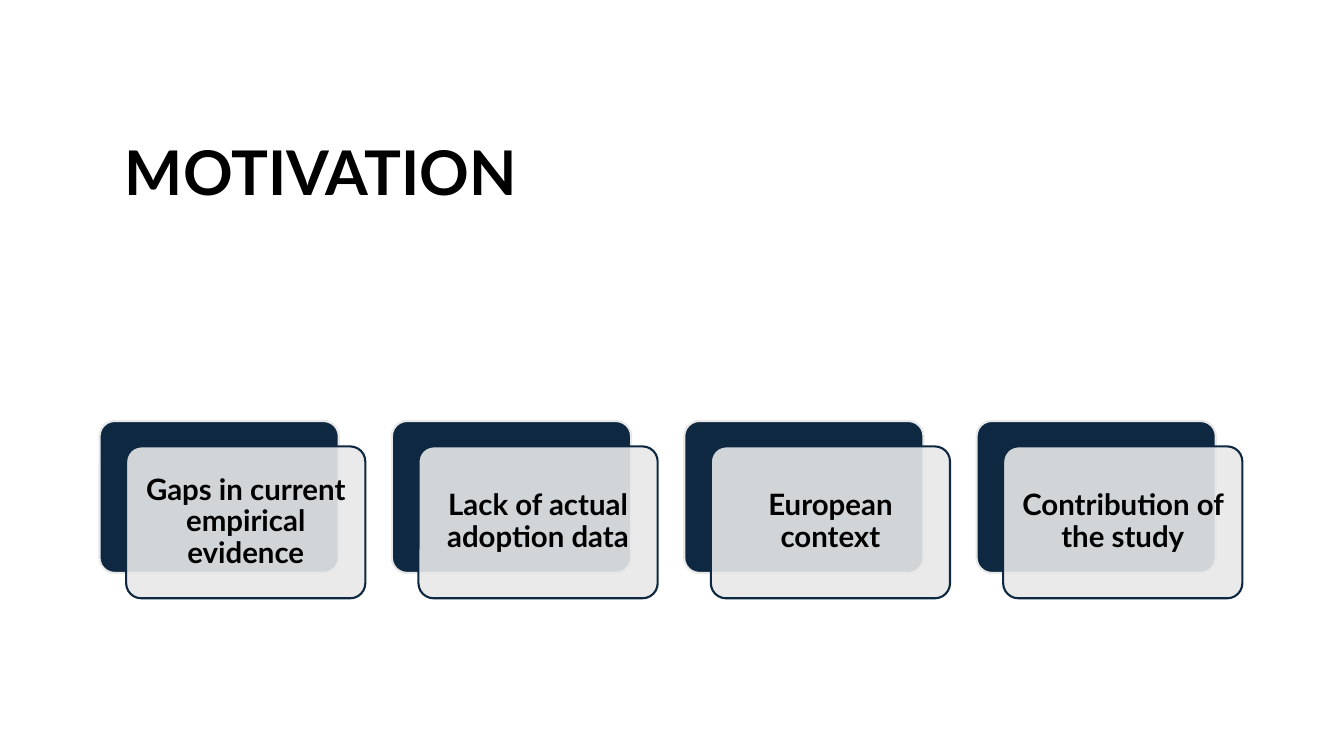
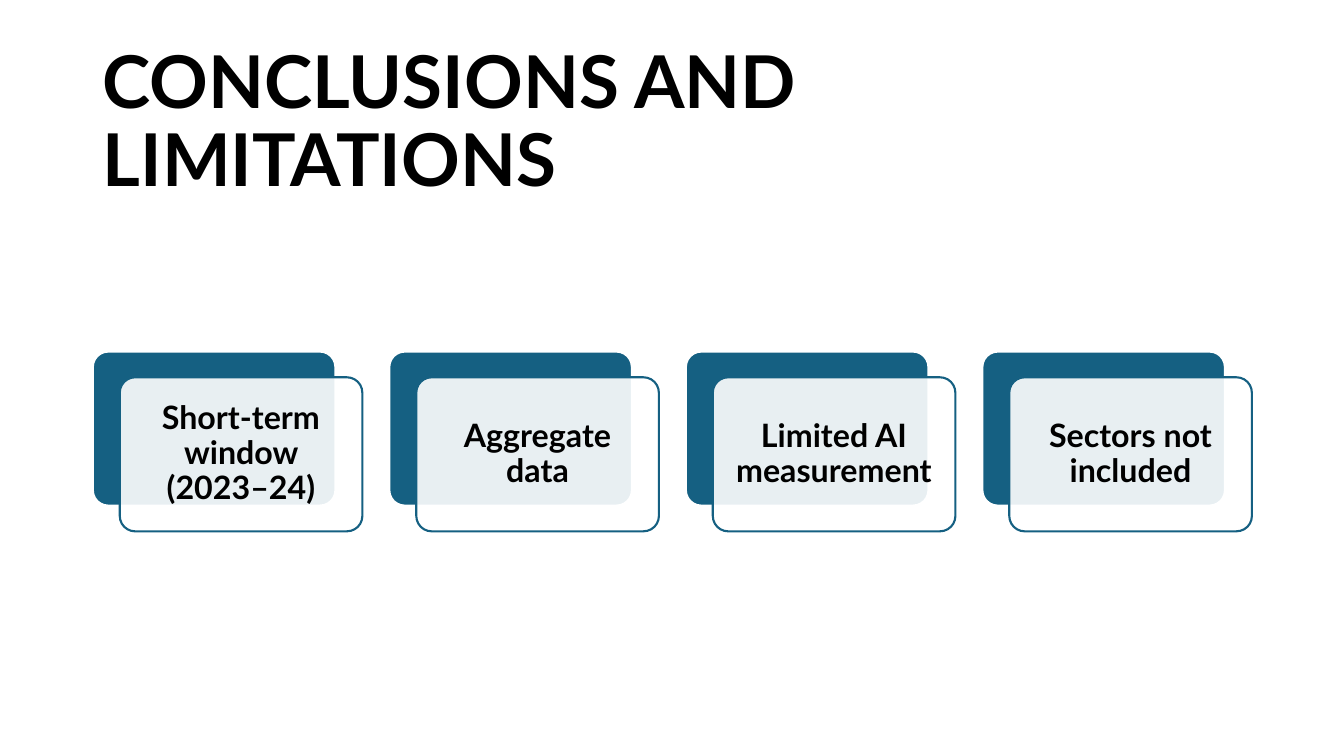
from lxml import etree
from pptx import Presentation
from pptx.dml.color import RGBColor
from pptx.enum.shapes import MSO_SHAPE
from pptx.enum.text import MSO_ANCHOR, PP_ALIGN
from pptx.oxml.ns import qn
from pptx.util import Cm, Pt

ROUNDED = MSO_SHAPE.ROUNDED_RECTANGLE
MIDDLE = MSO_ANCHOR.MIDDLE
LEFT, CENTER = PP_ALIGN.LEFT, PP_ALIGN.CENTER

BLACK = RGBColor(0x00, 0x00, 0x00)
WHITE = RGBColor(0xFF, 0xFF, 0xFF)
NAVY = RGBColor(0x0E, 0x28, 0x41)
GREY = RGBColor(0xE8, 0xE8, 0xE8)
TEAL = RGBColor(0x15, 0x60, 0x82)

GAP_RATIO = 1 / 9
DROP_RATIO = 0.106
HEIGHT_RATIO = 0.635
FRONT_OPACITY = 90

PAGES = [
    {
        "title": "MOTIVATION",
        "title_size": 44,
        "title_box": (Cm(2.9), Cm(2.26), Cm(28.27), Cm(4.32)),
        "labels": [
            "Gaps in current empirical evidence",
            "Lack of actual adoption data",
            "European context",
            "Contribution of the study",
        ],
        "label_size": 21,
        "inset": Cm(0.22),
        "row_box": (Cm(2.51), Cm(10.61), Cm(28.8)),
        "dark": NAVY,
        "light": GREY,
    },
    {
        "title": "CONCLUSIONS AND LIMITATIONS",
        "title_size": 52,
        "title_box": (Cm(2.34), Cm(1.55), Cm(29.21), Cm(3.15)),
        "labels": [
            "Short-term window (2023–24)",
            "Aggregate data",
            "Limited AI measurement",
            "Sectors not included",
        ],
        "label_size": 23,
        "inset": Cm(0.24),
        "row_box": (Cm(2.34), Cm(8.86), Cm(29.21)),
        "dark": TEAL,
        "light": WHITE,
    },
]


def apply(target, values):
    """Set each attribute of the target from a dict of format values."""
    for name, value in values.items():
        setattr(target, name, value)


def write(shape, text, size, align):
    """Write one bold paragraph, centred vertically in the shape."""
    apply(shape.text_frame, {"word_wrap": True, "vertical_anchor": MIDDLE})
    para = shape.text_frame.paragraphs[0]
    apply(para, {"alignment": align, "line_spacing": 0.9})
    span = para.add_run()
    span.text = text
    apply(span.font, {"name": "Lato", "size": Pt(size), "bold": True})
    span.font.color.rgb = BLACK


def add_title(page, box, text, size):
    """Place the slide title in its box."""
    write(page.shapes.add_textbox(*box), text, size, LEFT)


def add_card(group, box, fill, line, opacity=100):
    """Add a rounded card with a fill, an outline and an opacity in percent."""
    card = group.shapes.add_shape(ROUNDED, *map(int, box))
    card.adjustments[0] = 0.1
    card.shadow.inherit = False
    card.fill.solid()
    card.fill.fore_color.rgb = fill
    card.line.color.rgb = line
    card.line.width = Pt(1.5)
    if opacity < 100:
        color = card.fill._xPr.find(qn("a:solidFill"))[0]
        etree.SubElement(color, qn("a:alpha"), val=str(opacity * 1000))
    return card


def add_card_row(page, box, labels, size, inset, dark, light):
    """Spread pairs of overlapping cards evenly across the box."""
    left, top, total = box
    count = len(labels)
    width = total / (count + (2 * count - 1) * GAP_RATIO)
    gap, drop, height = (width * ratio for ratio in (GAP_RATIO, DROP_RATIO, HEIGHT_RATIO))
    margins = {f"margin_{side}": inset for side in ("left", "top", "right", "bottom")}
    group = page.shapes.add_group_shape()
    for index, label in enumerate(labels):
        x = left + index * (width + 2 * gap)
        add_card(group, (x, top, width, height), dark, light)
        front = add_card(group, (x + gap, top + drop, width, height), light, dark, FRONT_OPACITY)
        apply(front.text_frame, margins)
        write(front, label, size, CENTER)


def add_page(deck, content):
    """Add one slide with a title and a row of cards."""
    page = deck.slides.add_slide(deck.slide_layouts[6])
    add_title(page, content["title_box"], content["title"], content["title_size"])
    add_card_row(page, content["row_box"], content["labels"], content["label_size"],
                 content["inset"], content["dark"], content["light"])


def main():
    """Build the deck and save it."""
    deck = Presentation()
    apply(deck, {"slide_width": Cm(33.87), "slide_height": Cm(19.05)})
    for content in PAGES:
        add_page(deck, content)
    deck.save("out.pptx")


if __name__ == "__main__":
    main()
